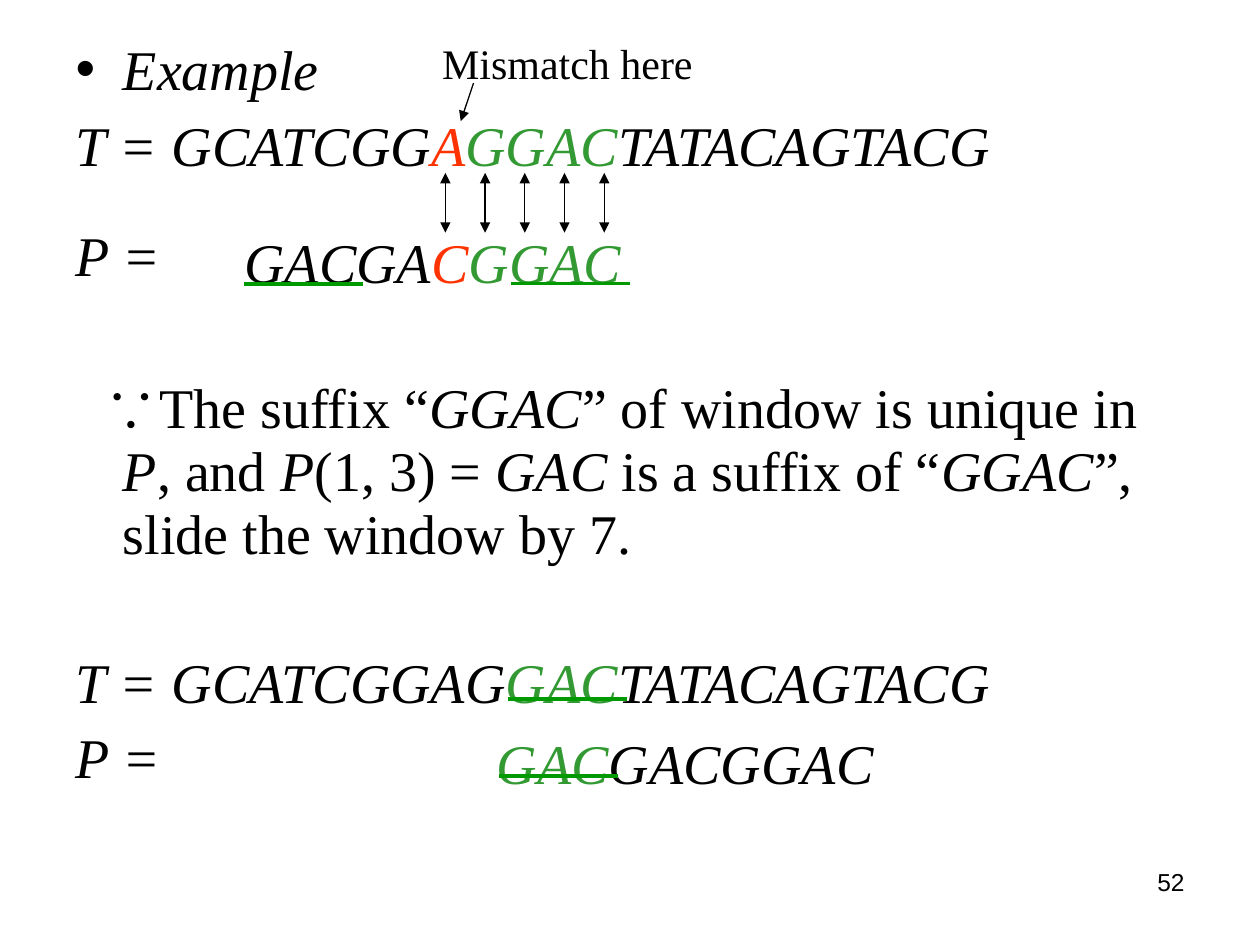
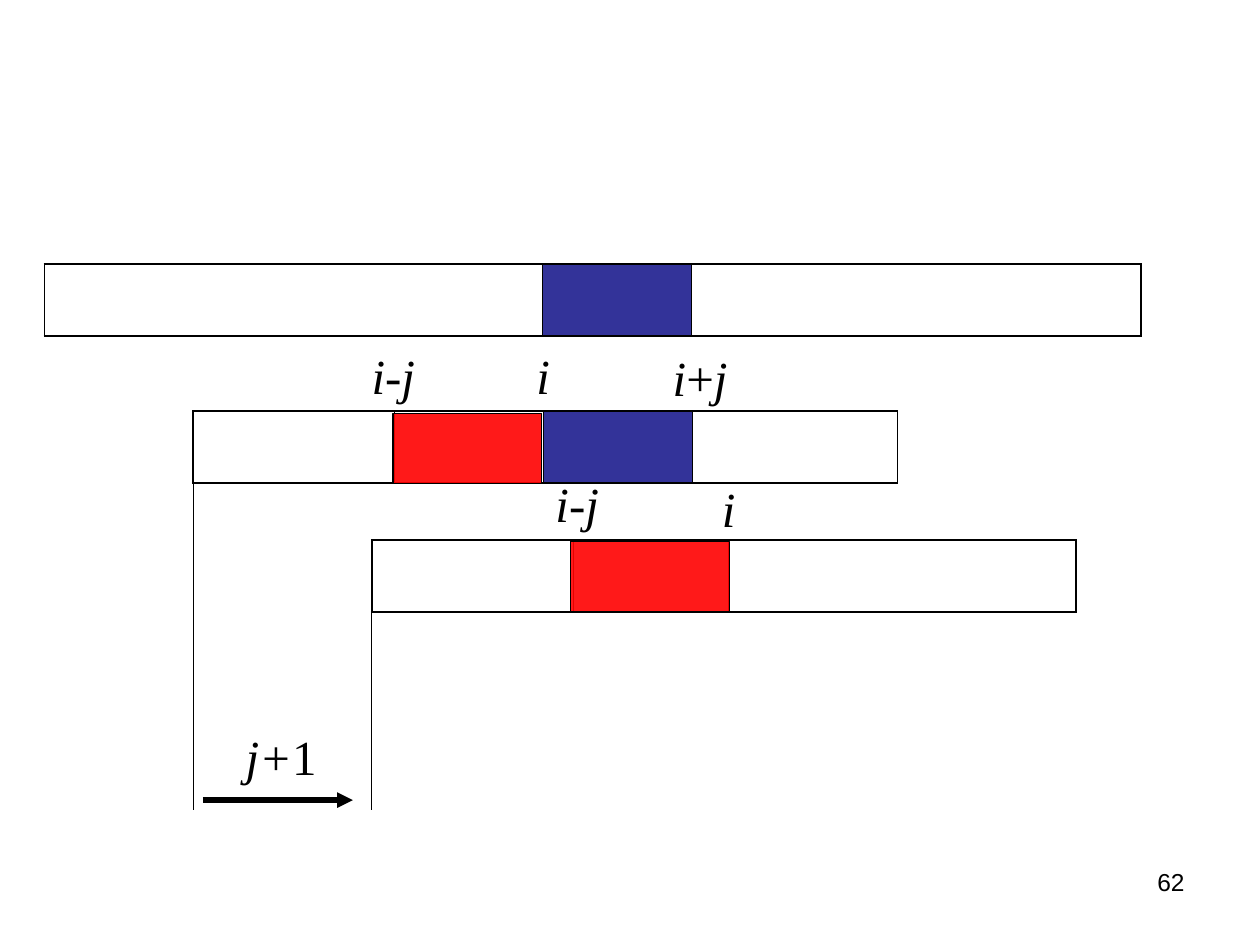
"""Build two slides on pattern matching: a suffix example and a window shift."""
from dataclasses import dataclass

from lxml import etree
from pptx import Presentation
from pptx.dml.color import RGBColor
from pptx.enum import shapes, text
from pptx.oxml.ns import qn
from pptx.util import Pt


@dataclass(frozen=True)
class Theme:
    """Colours, fonts and type sizes of the deck."""
    ink: str = "000000"
    mismatch: str = "FF3300"
    match: str = "339933"
    underline: str = "009900"
    window: str = "333399"
    shifted: str = "FF0000"
    serif: str = "Times New Roman"
    sans: str = "Arial"
    body: float = 32
    index: float = 28
    note: float = 24
    page: float = 14
    line: float = 0.75
    outer: float = 1.08
    inner: float = 0.45


THEME = Theme()
ITALIC = {"italic": True}
ROMAN = {"italic": False}


def add_child(parent, tag, **attributes):
    """Append a DrawingML element and return it."""
    return etree.SubElement(parent, qn(tag), attributes)


def write(paragraph, runs, size, face=THEME.serif):
    """Write (words, format, colour) runs into a paragraph."""
    for words, style, *colour in runs:
        run = paragraph.add_run()
        run.text = words
        for key, value in {"name": face, "size": Pt(size), **style}.items():
            setattr(run.font, key, value)
        run.font.color.rgb = RGBColor.from_string(colour[0] if colour else THEME.ink)


def add_label(slide, left, top, width, runs, size, face=THEME.serif, align=None):
    """Add a one-line text box."""
    frame = slide.shapes.add_textbox(Pt(left), Pt(top), Pt(width), Pt(size * 1.46)).text_frame
    frame.word_wrap = True
    frame.paragraphs[0].alignment = align
    write(frame.paragraphs[0], runs, size, face)


def add_index(slide, left, top, letters):
    """Add an index such as i-j, with its letters in italics."""
    runs = [(letter, ITALIC if letter.isalpha() else ROMAN) for letter in letters]
    add_label(slide, left, top, 49 if len(letters) > 1 else 25, runs, THEME.index)


def add_page_number(slide, number):
    """Add the page number at the bottom right."""
    add_label(slide, 516, 492, 168, [(number, {})], THEME.page, THEME.sans,
              text.PP_ALIGN.RIGHT)


def add_line(slide, start, end, width=THEME.line, colour=THEME.ink, heads=()):
    """Add a straight line with optional arrowheads."""
    line = slide.shapes.add_connector(shapes.MSO_CONNECTOR.STRAIGHT, *map(Pt, (*start, *end)))
    line.line.width = Pt(width)
    line.line.color.rgb = RGBColor.from_string(colour)
    outline = line.line._get_or_add_ln()
    for head in heads:
        add_child(outline, head, type="triangle")
    add_child(line._element.spPr, "a:effectLst")


def set_border(properties, side, width):
    """Draw one side of a table cell."""
    border = add_child(properties, side, w=str(Pt(width)))
    add_child(add_child(border, "a:solidFill"), "a:srgbClr", val=THEME.ink)


def add_strip(slide, left, top, widths, window=None):
    """Add a one-row table as a string, with its window cell coloured."""
    frame = slide.shapes.add_table(1, len(widths), Pt(left), Pt(top), Pt(sum(widths)), Pt(41))
    strip = frame.table
    strip.first_row = strip.horz_banding = False
    for column, width in enumerate(widths):
        strip.columns[column].width = Pt(width)
        cell = strip.cell(0, column)
        properties = cell._tc.get_or_add_tcPr()
        sides = {"a:lnL": THEME.inner if column else THEME.outer,
                 "a:lnR": THEME.inner if column < len(widths) - 1 else THEME.outer,
                 "a:lnT": THEME.outer, "a:lnB": THEME.outer}
        for side, weight in sides.items():
            set_border(properties, side, weight)
        if column == window:
            cell.fill.solid()
            cell.fill.fore_color.rgb = RGBColor.from_string(THEME.window)
        else:
            cell.fill.background()


def add_block(slide, left, top, width):
    """Add a slightly transparent block on a strip."""
    block = slide.shapes.add_shape(shapes.MSO_SHAPE.RECTANGLE, *map(Pt, (left, top, width, 40)))
    block.shadow.inherit = False
    block.fill.solid()
    block.fill.fore_color.rgb = RGBColor.from_string(THEME.shifted)
    colour = block._element.spPr.find(qn("a:solidFill"))[0]
    add_child(colour, "a:alpha", val="90000")
    block.line.width = Pt(THEME.line)
    block.line.color.rgb = RGBColor.from_string(THEME.ink)


def add_row(paragraph, runs, before, margin=0, indent=0, bullet=None):
    """Format and fill one paragraph of the example."""
    properties = paragraph._p.get_or_add_pPr()
    properties.set("marL", str(Pt(margin)))
    properties.set("indent", str(Pt(indent)))
    if bullet:
        add_child(properties, "a:buChar", char=bullet)
    else:
        add_child(properties, "a:buNone")
    for key, value in {"line_spacing": 36, "space_before": before}.items():
        setattr(paragraph, key, Pt(value))
    write(paragraph, runs, THEME.body)


def fill_example(body):
    """Place the body placeholder and write the example into it."""
    for key, value in {"left": 36, "top": 18.7, "width": 648, "height": 462}.items():
        setattr(body, key, Pt(value))
    frame = body.text_frame
    frame.auto_size = text.MSO_AUTO_SIZE.NONE
    reason = [
        ("∵The suffix “", ROMAN), ("GGAC", ITALIC), ("” of window is unique in ", ROMAN),
        ("P", ITALIC), (", and ", ROMAN), ("P", ITALIC), ("(1, 3) = ", ROMAN),
        ("GAC", ITALIC), (" is a suffix of “", ROMAN), ("GGAC", ITALIC),
        ("”, slide the window by 7.", ROMAN),
    ]
    rows = [
        dict(runs=[("Example", ITALIC)], before=0, margin=27, indent=-27, bullet="•"),
        dict(runs=[("T = GCATCGG", ITALIC), ("A", ITALIC, THEME.mismatch),
                   ("GGAC", ITALIC, THEME.match), ("TATACAGTACG", ITALIC)], before=7),
        dict(runs=[("P =", ITALIC)], before=27),
        dict(runs=reason, before=51, margin=27, indent=-11),
        dict(runs=[("T = GCATCGGAG", ITALIC), ("GAC", ITALIC, THEME.match),
                   ("TATACAGTACG", ITALIC)], before=49),
        dict(runs=[("P =", ITALIC)], before=7),
    ]
    for number, row in enumerate(rows):
        add_row(frame.add_paragraph() if number else frame.paragraphs[0], **row)


def build_example(deck):
    """Build the slide with the suffix example."""
    slide = deck.slides.add_slide(deck.slide_layouts[1])
    title = slide.shapes.title._element
    title.getparent().remove(title)
    fill_example(slide.placeholders[1])
    before_shift = [("GACGA", ITALIC), ("C", ITALIC, THEME.mismatch),
                    ("GGAC", ITALIC, THEME.match)]
    after_shift = [("GAC", ITALIC, THEME.match), ("GACGGAC", ITALIC)]
    for left, top, pattern in ((132.6, 126.4, before_shift), (276.8, 413, after_shift)):
        add_label(slide, left, top, 250, pattern, THEME.body)
    for pair in range(5):
        x = 254.5 + 22.7 * pair
        add_line(slide, (x, 98.8), (x, 133), heads=("a:headEnd", "a:tailEnd"))
    add_label(slide, 245.5, 18, 165, [("Mismatch here", {})], THEME.note)
    add_line(slide, (270.6, 47.5), (263.3, 69.3), heads=("a:tailEnd",))
    for left, y in ((292.3, 162), (139.7, 162.5), (290.2, 399.6), (285.1, 443.5)):
        add_line(slide, (left, y), (left + 68, y), 2.25, THEME.underline)
    add_page_number(slide, "52")


def build_shift(deck):
    """Build the slide with the window shifted by j+1."""
    slide = deck.slides.add_slide(deck.slide_layouts[6])
    add_strip(slide, 25.4, 151, (284.6, 85, 257), window=1)
    add_strip(slide, 110.4, 235, (115, 85, 85, 117.5), window=2)
    add_strip(slide, 212.4, 308.6, (115, 89, 198.5))
    for left, top, letters in ((377.3, 195, "i+j"), (205.2, 193.7, "i-j"), (299.5, 193.7, "i"),
                               (310.3, 267, "i-j"), (405.4, 270, "i")):
        add_index(slide, left, top, letters)
    add_line(slide, (110.4, 275.8), (110.4, 463))
    add_line(slide, (212.4, 349.2), (212.4, 463))
    add_line(slide, (116, 457.2), (201.6, 457.2), 3, heads=("a:tailEnd",))
    add_label(slide, 133.2, 411.8, 73.4, [("j+", ITALIC), ("1", ROMAN)], THEME.index)
    add_block(slide, 326.2, 309.6, 90.7)
    add_block(slide, 224.6, 236.2, 85)
    add_page_number(slide, "62")


def main():
    """Build and save the deck."""
    deck = Presentation()
    deck.slide_width, deck.slide_height = Pt(720), Pt(540)
    build_example(deck)
    build_shift(deck)
    deck.save("out.pptx")


if __name__ == "__main__":
    main()
